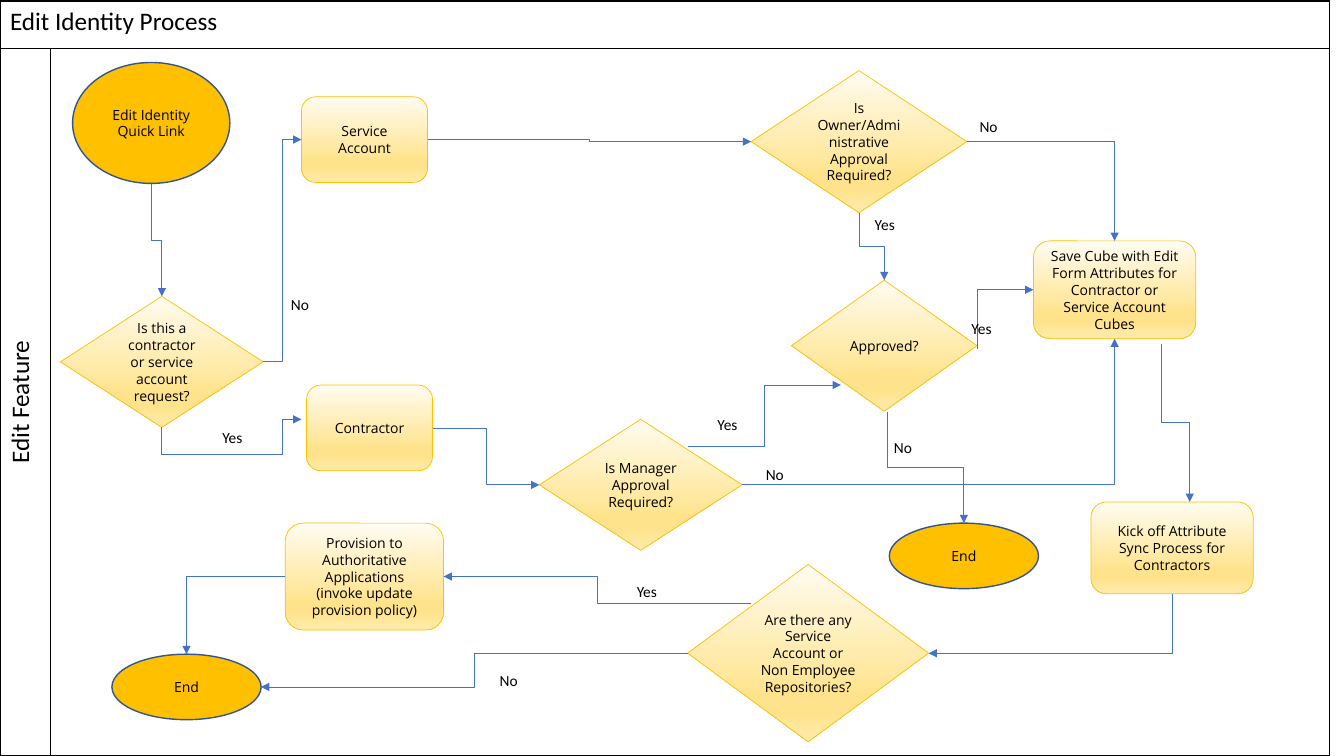
from lxml import etree
from pptx import Presentation
from pptx.dml.color import RGBColor
from pptx.enum.shapes import MSO_CONNECTOR, MSO_SHAPE
from pptx.enum.text import MSO_ANCHOR, PP_ALIGN
from pptx.oxml.ns import qn
from pptx.util import Inches, Pt

ELLIPSE, DIAMOND, BOX = MSO_SHAPE.OVAL, MSO_SHAPE.DIAMOND, MSO_SHAPE.ROUNDED_RECTANGLE
ELBOW = MSO_CONNECTOR.ELBOW
CENTER, MIDDLE = PP_ALIGN.CENTER, MSO_ANCHOR.MIDDLE
TOP, LEFT, BOTTOM, RIGHT = range(4)

BLACK = RGBColor(0x00, 0x00, 0x00)
AMBER = RGBColor(0xFF, 0xC0, 0x00)
NAVY = RGBColor(0x32, 0x54, 0x91)
BLUE = RGBColor(0x44, 0x72, 0xC4)
CREAM = RGBColor(0xFF, 0xFC, 0xF2)
PALE = RGBColor(0xFF, 0xEB, 0xAC)
GOLD = RGBColor(0xFF, 0xE3, 0x8C)
GRADIENT = [(0, CREAM), (51, PALE), (74, GOLD), (83, GOLD), (100, PALE)]

GRID = 0.1  # inches per column and per row


def grid(count):
    return Inches(count * GRID)


def add_color(parent, color):
    etree.SubElement(parent, qn("a:srgbClr"), val=str(color))


class FlowSlide:
    node_font, label_font = "Open Sans", "Calibri"

    def __init__(self, deck):
        self.shapes = deck.slides.add_slide(deck.slide_layouts[6]).shapes

    def set_text(self, frame, text, font, size, align=CENTER):
        frame.text = text
        paragraph = frame.paragraphs[0]
        paragraph.alignment = align
        run_font = paragraph.runs[0].font
        run_font.name, run_font.size = font, Pt(size)
        run_font.color.rgb = BLACK

    def lanes(self, place, columns, rows, title, lane):
        table = self.shapes.add_table(2, 2, *map(grid, place)).table
        table.first_row = table.horz_banding = False
        for column, width in zip(table.columns, columns):
            column.width = grid(width)
        for row, height in zip(table.rows, rows):
            row.height = grid(height)
        for cell in table.iter_cells():
            properties = cell._tc.get_or_add_tcPr()
            for edge in ("a:lnL", "a:lnR", "a:lnT", "a:lnB"):
                border = etree.SubElement(properties, qn(edge), w=str(Pt(1)))
                add_color(etree.SubElement(border, qn("a:solidFill")), BLACK)
            cell.fill.background()
        table.cell(0, 0).merge(table.cell(0, 1))
        self.set_text(table.cell(0, 0).text_frame, title, self.label_font, 18, PP_ALIGN.LEFT)
        self.set_text(table.cell(1, 0).text_frame, lane, self.label_font, 18)
        table.cell(1, 0)._tc.tcPr.set("vert", "vert270")

    def node(self, kind, text, *place):
        node = self.shapes.add_shape(kind, *map(grid, place))
        node.shadow.inherit = False
        if kind == ELLIPSE:
            node.fill.solid()
            node.fill.fore_color.rgb = AMBER
        else:
            self.shade(node)
        node.line.color.rgb = NAVY if kind == ELLIPSE else AMBER
        node.line.width = Pt(1 if kind == ELLIPSE else 0.5)
        node.text_frame.word_wrap = True
        node.text_frame.vertical_anchor = MIDDLE
        self.set_text(node.text_frame, text, self.node_font, 10)
        return node

    def shade(self, node):
        node.fill.gradient()
        node.fill.gradient_angle = 270
        stops = node._element.spPr.find(".//" + qn("a:gsLst"))
        for stop in list(stops):
            stops.remove(stop)
        for percent, color in GRADIENT:
            add_color(etree.SubElement(stops, qn("a:gs"), pos=str(percent * 1000)), color)

    def label(self, text, left, top):
        box = self.shapes.add_textbox(grid(left), grid(top), grid(4.5), grid(3.5))
        frame = box.text_frame
        frame.margin_left = frame.margin_right = 0
        frame.word_wrap = True
        frame.vertical_anchor = MIDDLE
        self.set_text(frame, text, self.label_font, 11)

    def point(self, end):
        """Locate a (node, side) pair or a (column, row) pair."""
        node, side = end
        if isinstance(node, (int, float)):
            return grid(node), grid(side)
        across = {LEFT: 0, RIGHT: 2}.get(side, 1)
        down = {TOP: 0, BOTTOM: 2}.get(side, 1)
        return node.left + node.width * across // 2, node.top + node.height * down // 2

    def glue(self, connect, end):
        node, side = end
        if isinstance(node, (int, float)):
            return
        # An ellipse numbers its sites differently beyond the top
        if node.auto_shape_type != ELLIPSE or side == TOP:
            connect(node, side)

    def flow(self, start, end, bends=2, vertical=False, adjust=()):
        (x1, y1), (x2, y2) = self.point(start), self.point(end)
        arrow = self.shapes.add_connector(ELBOW, x1, y1, x2, y2)
        self.glue(arrow.begin_connect, start)
        self.glue(arrow.end_connect, end)
        properties = arrow._element.spPr
        if vertical:  # a vertical first leg is a quarter turn of a horizontal one
            turn = 1 if y2 > y1 else -1
            mid_x, mid_y = (x1 + x2) // 2, (y1 + y2) // 2
            half_run, half_rise = abs(y2 - y1) // 2, turn * (x2 - x1) // 2
            x1, x2 = mid_x - half_run, mid_x + half_run
            y1, y2 = mid_y + half_rise, mid_y - half_rise
            properties.find(qn("a:xfrm")).set("rot", str(turn % 4 * 5400000))
        arrow.begin_x, arrow.begin_y, arrow.end_x, arrow.end_y = x1, y1, x2, y2
        geometry = properties.find(qn("a:prstGeom"))
        geometry.set("prst", f"bentConnector{bends + 1}")
        for number, share in enumerate(adjust, 1):
            etree.SubElement(geometry.find(qn("a:avLst")), qn("a:gd"),
                             name=f"adj{number}", fmla=f"val {round(share * 100000)}")
        arrow.line.color.rgb = BLUE
        arrow.line.width = Pt(0.5)
        etree.SubElement(properties.find(qn("a:ln")), qn("a:tailEnd"), type="triangle")
        etree.SubElement(properties, qn("a:effectLst"))


def main():
    deck = Presentation()
    deck.slide_width, deck.slide_height = Inches(13.33), Inches(7.5)
    slide = FlowSlide(deck)

    # Title and swimlane
    slide.lanes((0, 0.1, 131.9, 74.9), (5, 126.9), (4.7, 70.2),
                "Edit Identity Process", "Edit Feature")

    # Steps, decisions and ends
    quick_link = slide.node(ELLIPSE, "Edit Identity Quick Link", 7.2, 6.2, 15.6, 12)
    request = slide.node(DIAMOND, "Is this a contractor or service account request?",
                         6, 29.4, 20.1, 13)
    service = slide.node(BOX, "Service Account", 29.9, 9.6, 12.5, 8.5)
    contractor = slide.node(BOX, "Contractor", 30.4, 38.2, 12.5, 8.5)
    manager = slide.node(DIAMOND, "Is Manager Approval Required?", 53.5, 41.6, 20.1, 13)
    owner = slide.node(DIAMOND, "Is Owner/Administrative Approval Required?",
                       74.5, 7, 21.4, 14.1)
    approved = slide.node(DIAMOND, "Approved?", 78.5, 27.8, 18.4, 13)
    save = slide.node(BOX, "Save Cube with Edit Form Attributes for Contractor or "
                      "Service Account Cubes", 102.5, 23.9, 16.1, 9.7)
    sync = slide.node(BOX, "Kick off Attribute Sync Process for Contractors",
                      108.2, 49.8, 16.1, 9.1)
    repositories = slide.node(DIAMOND, "Are there any Service Account or Non Employee "
                              "Repositories?", 68.2, 56, 23.9, 17.6)
    provision = slide.node(BOX, "Provision to Authoritative Applications "
                           "(invoke update provision policy)", 28.3, 51.9, 15.7, 10.6)
    done = slide.node(ELLIPSE, "End", 11.1, 64.9, 14.8, 6.5)
    rejected = slide.node(ELLIPSE, "End", 88.2, 51.9, 14.8, 6.5)

    # Request type
    slide.flow((quick_link, BOTTOM), (request, TOP), vertical=True)
    slide.flow((request, RIGHT), (service, LEFT))
    slide.flow((request, BOTTOM), (29.9, 41.6), bends=3, vertical=True,
               adjust=(-3.29, 0.86))

    # Approvals
    slide.flow((contractor, RIGHT), (manager, LEFT))
    slide.flow((service, RIGHT), (owner, LEFT))
    slide.flow((68.2, 44.3), (83.4, 38.2))
    slide.flow((manager, RIGHT), (save, BOTTOM), bends=1)
    slide.flow((owner, BOTTOM), (approved, TOP), vertical=True)
    slide.flow((owner, RIGHT), (save, TOP), bends=1)
    slide.flow((96.9, 34.6), (save, LEFT), bends=1, vertical=True)
    slide.flow((88, 40.9), (rejected, TOP), vertical=True)

    # Sync and provisioning
    slide.flow((115.2, 34.1), (118, 49.8), vertical=True)
    slide.flow((sync, BOTTOM), (repositories, RIGHT), bends=1, vertical=True)
    slide.flow((repositories, LEFT), (done, RIGHT))
    slide.flow((74.5, 59.9), (provision, RIGHT))
    slide.flow((provision, LEFT), (done, TOP), bends=1)

    # Answers
    answers = {
        "Yes": [(85.5, 20.5), (95.1, 30.8), (69.9, 40.3), (20.8, 41.6), (61.9, 56.9)],
        "No": [(27.5, 28.4), (95.8, 10.8), (74.6, 45.3), (87.3, 42.6), (48.2, 65.7)],
    }
    for answer, spots in answers.items():
        for spot in spots:
            slide.label(answer, *spot)

    deck.save("out.pptx")


if __name__ == "__main__":
    main()
